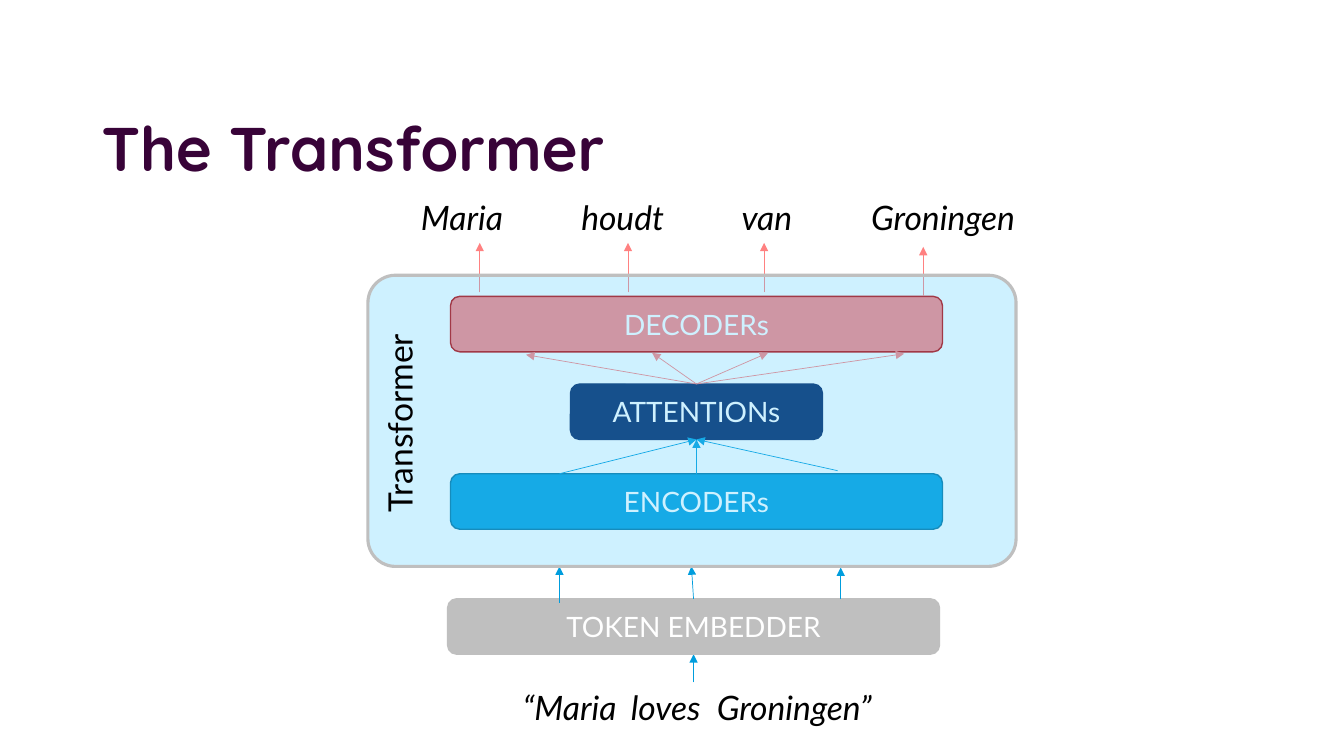
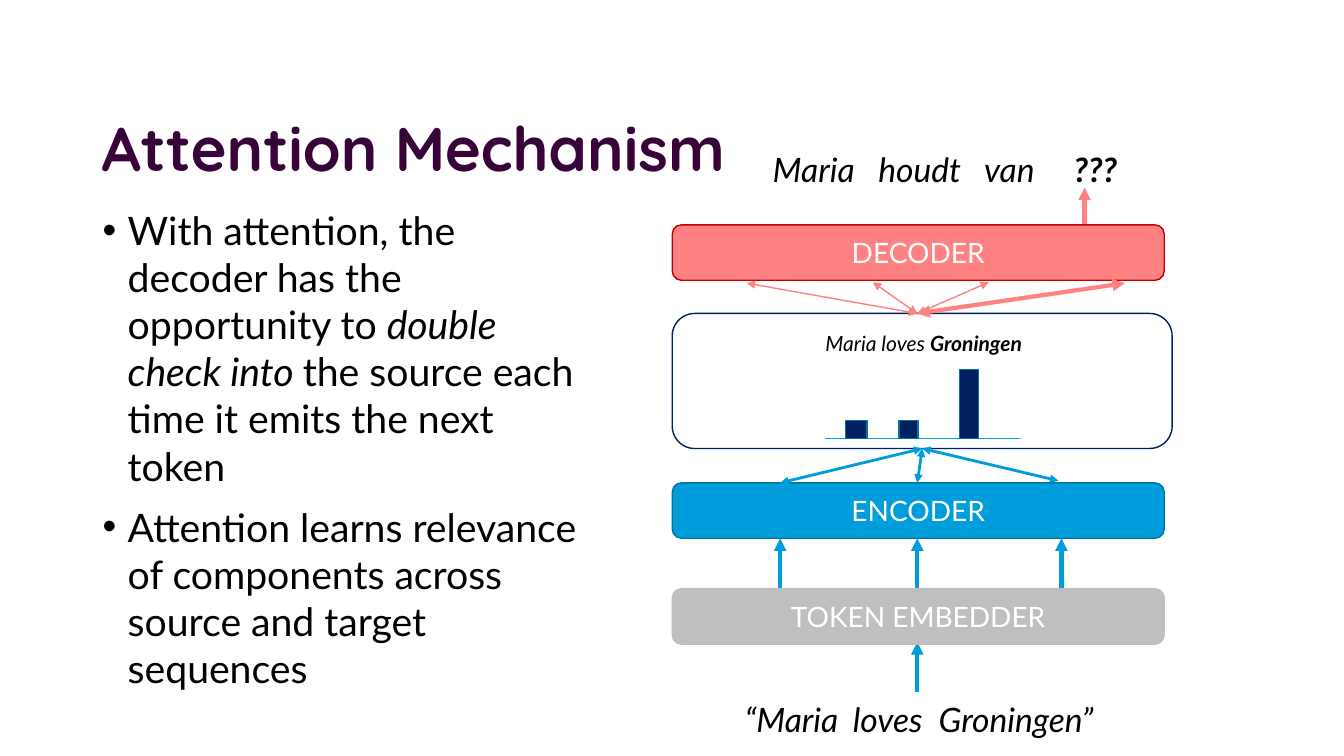
from dataclasses import dataclass

from lxml import etree
from pptx import Presentation
from pptx.dml.color import RGBColor
from pptx.enum.shapes import MSO_CONNECTOR, MSO_SHAPE
from pptx.enum.text import MSO_ANCHOR as ANCHOR, PP_ALIGN as ALIGN
from pptx.oxml.ns import qn
from pptx.util import Pt


@dataclass(frozen=True)
class Theme:
    title_font: str = "Quicksand"
    body_font: str = "Lato"
    title_color: str = "380338"
    text: str = "000000"
    white: str = "FFFFFF"
    encoder: str = "009DDD"
    encoder_edge: str = "0074A3"
    decoder: str = "FF8181"
    decoder_edge: str = "C00000"
    attention: str = "002060"
    gray: str = "BFBFBF"
    panel: str = "52CDFF"
    title_size: int = 44
    body_size: int = 28
    word_size: int = 24
    block_size: int = 20
    caption_size: int = 15


T = Theme()
BLOCK_W, BLOCK_H = 351.4, 39.6
SOURCE_WORDS = ["“Maria", "loves", "Groningen”"]


def rgb(color):
    return RGBColor.from_string(color)


class Deck:
    def __init__(self):
        self.prs = Presentation()
        self.prs.slide_width, self.prs.slide_height = Pt(960), Pt(540)
        self.s = None

    def slide(self, title):
        self.s = self.prs.slides.add_slide(self.prs.slide_layouts[6])
        tf = self.textbox(65.5, 72.7, 828, 71.3)
        tf.vertical_anchor = ANCHOR.MIDDLE
        p = tf.paragraphs[0]
        p.line_spacing = 0.9
        self.run(p, title, T.title_size, T.title_color, T.title_font, bold=True)

    def textbox(self, x, y, w, h):
        tf = self.s.shapes.add_textbox(Pt(x), Pt(y), Pt(w), Pt(h)).text_frame
        tf.word_wrap = True
        return tf

    def run(self, p, text, size, color=T.text, font=T.body_font, bold=False, italic=False):
        r = p.add_run()
        r.text = text
        f = r.font
        f.name, f.size, f.bold, f.italic = font, Pt(size), bold, italic
        f.color.rgb = rgb(color)

    def box(self, x, y, w, h, fill=None, edge=None, weight=1, kind=MSO_SHAPE.ROUNDED_RECTANGLE):
        sp = self.s.shapes.add_shape(kind, Pt(x), Pt(y), Pt(w), Pt(h))
        sp.shadow.inherit = False
        if fill:
            sp.fill.solid()
            sp.fill.fore_color.rgb = rgb(fill)
        else:
            sp.fill.background()
        sp.line.color.rgb = rgb(edge or fill)
        sp.line.width = Pt(weight)
        return sp

    def block(self, x, y, label, fill, edge=None, w=BLOCK_W):
        tf = self.box(x, y, w, BLOCK_H, fill, edge).text_frame
        tf.vertical_anchor = ANCHOR.MIDDLE
        p = tf.paragraphs[0]
        p.alignment = ALIGN.CENTER
        self.run(p, label, T.block_size, T.white)

    def panel(self, x, y, w, h):
        """Draw the translucent frame that tints the blocks beneath it."""
        sp = self.box(x, y, w, h, T.panel, T.gray, 2.25)
        sp.adjustments[0] = 0.095
        color = sp.fill._xPr.find(qn("a:solidFill"))[0]
        etree.SubElement(color, qn("a:alpha"), val="28000")

    def line(self, start, end, color, weight=0.5, head=False, tail=False):
        c = self.s.shapes.add_connector(MSO_CONNECTOR.STRAIGHT, *(Pt(v) for v in (*start, *end)))
        c.line.color.rgb = rgb(color)
        c.line.width = Pt(weight)
        ln = c.line._get_or_add_ln()
        for tag, shown in (("a:headEnd", head), ("a:tailEnd", tail)):
            if shown:
                etree.SubElement(ln, qn(tag), type="triangle")
        etree.SubElement(c._element.spPr, qn("a:effectLst"))

    def arrow(self, start, end, color, weight=0.5, both=False):
        self.line(start, end, color, weight, head=both, tail=True)

    def rise(self, xs, bottom, top, color, weight=0.5):
        """Draw one upward arrow at each x."""
        for x in xs:
            self.arrow((x, bottom), (x, top), color, weight)

    def words(self, x, y, words, stops, bold_last=False):
        """Set italic words on one line, each after the first at its tab stop."""
        tf = self.textbox(x, y, stops[-1] + 140, 36)
        tf.margin_left = 0
        p = tf.paragraphs[0]
        tabs = etree.SubElement(p._p.get_or_add_pPr(), qn("a:tabLst"))
        for stop in stops:
            etree.SubElement(tabs, qn("a:tab"), pos=str(Pt(stop)), algn="l")
        for i, word in enumerate(words):
            last = i == len(words) - 1
            self.run(p, word if last else word + "\t", T.word_size,
                     bold=bold_last and last, italic=True)

    def source_sentence(self, x, y):
        self.words(x, y, SOURCE_WORDS, [77.2, 138.5])

    def side_label(self, cx, cy, w, h, text):
        """Place a label that reads upwards, centred on a point."""
        tb = self.s.shapes.add_textbox(Pt(cx - w / 2), Pt(cy - h / 2), Pt(w), Pt(h))
        tb.rotation = 270
        tb.text_frame.word_wrap = False
        self.run(tb.text_frame.paragraphs[0], text, T.word_size)

    def bullets(self, x, y, w, h, items):
        tf = self.textbox(x, y, w, h)
        for i, parts in enumerate(items):
            p = tf.add_paragraph() if i else tf.paragraphs[0]
            if i:
                p.space_before = Pt(10)
            pPr = p._p.get_or_add_pPr()
            pPr.set("marL", str(Pt(18)))
            pPr.set("indent", str(Pt(-18)))
            etree.SubElement(pPr, qn("a:buFont"), typeface="Arial")
            etree.SubElement(pPr, qn("a:buChar"), char="•")
            for text, italic in parts:
                self.run(p, text, T.body_size, italic=italic)


def transformer(d):
    d.slide("The Transformer")
    d.block(321.8, 338.4, "ENCODERs", T.encoder, T.encoder_edge)
    d.rise([495.4], 487.4, 467.3, T.encoder)
    d.rise([342.7, 448.6, 545.8], 208.8, 173.5, T.decoder)
    d.block(321.8, 211.7, "DECODERs", T.decoder, T.decoder_edge)
    d.block(319.7, 427.7, "TOKEN EMBEDDER", T.gray)
    for start, end in [((399.6, 430.6), (399.6, 404.6)),
                       ((495.4, 427.7), (493.9, 404.6)),
                       ((600.5, 427.7), (600.5, 405.4))]:
        d.arrow(start, end, T.encoder)
    d.words(300.7, 136.8, ["Maria", "houdt", "van", "Groningen"], [114.5, 229, 321.5])
    d.source_sentence(373.5, 487.4)
    d.block(407.5, 274.3, "ATTENTIONs", T.attention, w=180)
    for start in [(399.6, 338.4), (497.5, 338.4), (598.3, 336.2)]:
        d.arrow(start, (497.5, 313.9), T.encoder)
    for tip in [(375.8, 253.4), (465.8, 252), (548.6, 252), (645.8, 252.7)]:
        d.arrow((497.5, 274.3), tip, T.decoder)
    d.rise([659.5], 211.7, 176.4, T.decoder)
    d.panel(262.8, 196.6, 463, 208)
    d.side_label(285.1, 300.2, 145.4, 36, "Transformer")


def attention_mechanism(d):
    d.slide("Attention Mechanism")
    d.bullets(66.2, 144, 357, 342.7, [
        [("With attention, the decoder has the opportunity to ", False),
         ("double check into ", True),
         ("the source each time it emits the next token", False)],
        [("Attention learns relevance of components across source and target sequences", False)],
    ])
    left = 480.2
    d.block(left, 344.9, "ENCODER", T.encoder, T.encoder_edge)
    d.rise([655.2], 494.6, 458.6, T.encoder, 3)
    d.rise([774.7], 169.2, 133.9, T.decoder, 3)
    d.block(left, 160.6, "DECODER", T.decoder, T.decoder_edge)
    d.block(left, 420.5, "TOKEN EMBEDDER", T.gray)
    d.rise([557.3, 655.2, 758.2], 420.2, 384.5, T.encoder, 3)
    d.words(552, 103, ["Maria", "houdt", "van", "???"], [75.5, 151, 215], bold_last=True)
    d.box(left, 223.9, 357.1, 96.5, edge=T.attention)
    for start in [(557.3, 344.9), (655.2, 344.9), (756, 343.4)]:
        d.arrow(start, (658.8, 320.4), T.encoder, 2, both=True)
    for x, y, weight in [(533.5, 202.3, 1), (623.5, 201.6, 1),
                         (706.3, 201.6, 1), (803.5, 202.3, 3)]:
        d.arrow((x, y), (655.2, 223.9), T.decoder, weight, both=True)

    p = d.textbox(582.5, 232.6, 206.6, 25.2).paragraphs[0]
    d.run(p, "Maria loves ", T.caption_size, italic=True)
    d.run(p, "Groningen", T.caption_size, bold=True, italic=True)
    base = 313.2
    d.line((589, base), (728.6, base), T.encoder)
    for x, w, h in [(604.1, 15.1, 13), (642.2, 13.7, 13), (685.4, 13.7, 49.3)]:
        d.box(x, base - h, w, h, T.attention, T.encoder_edge, kind=MSO_SHAPE.RECTANGLE)
    d.source_sentence(532, 495.4)


def main():
    d = Deck()
    transformer(d)
    attention_mechanism(d)
    d.prs.save("out.pptx")


if __name__ == "__main__":
    main()
